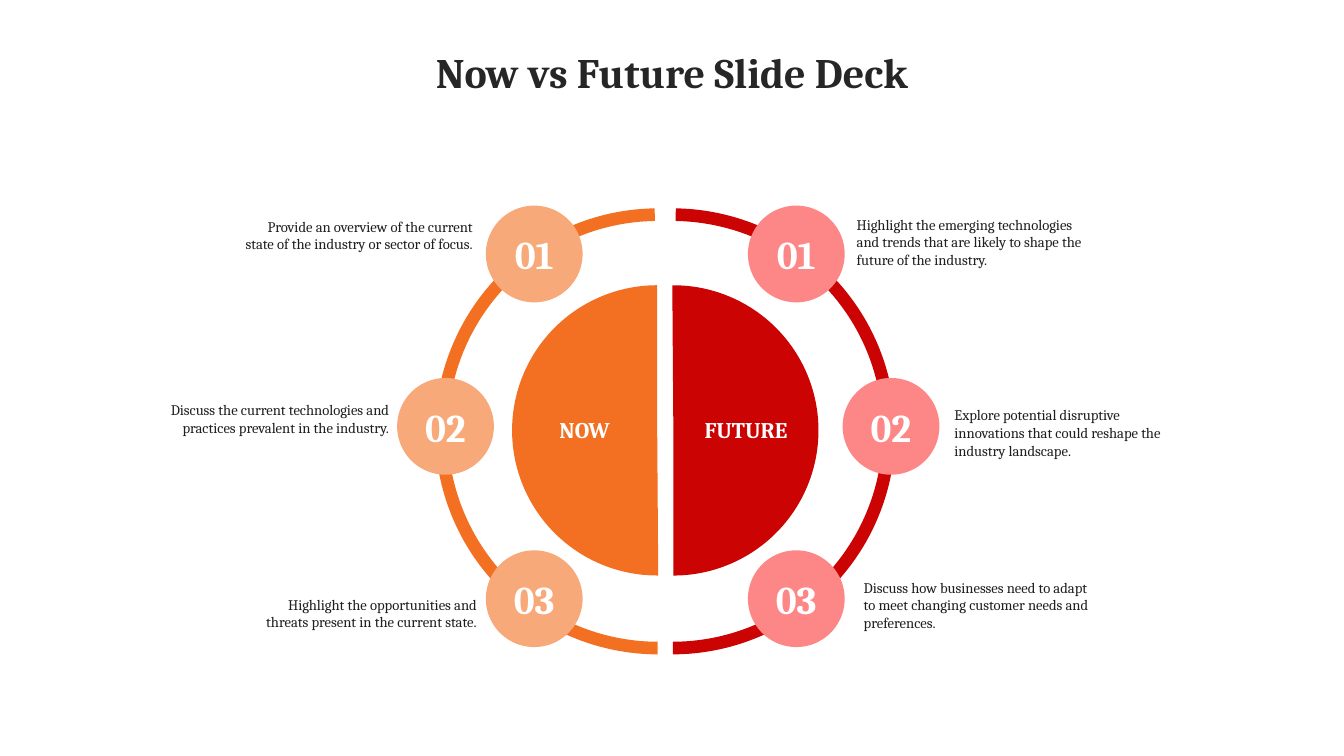
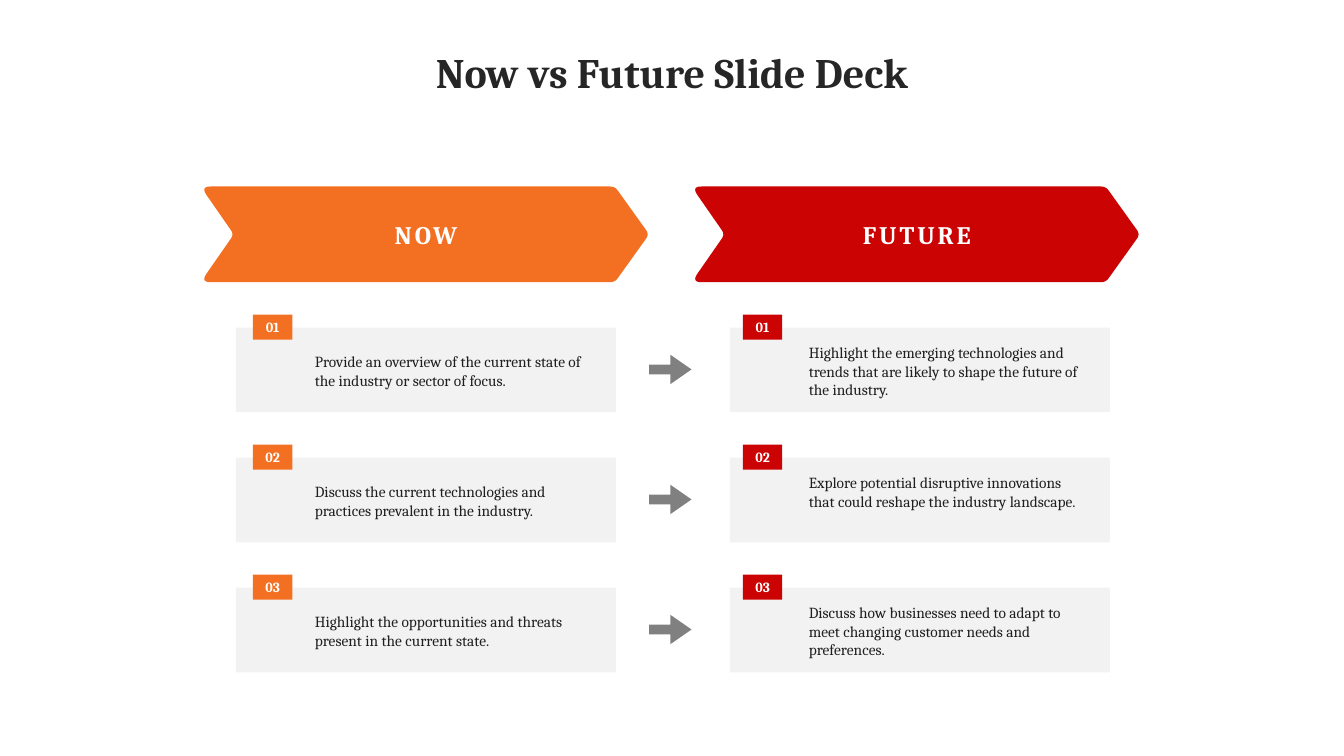
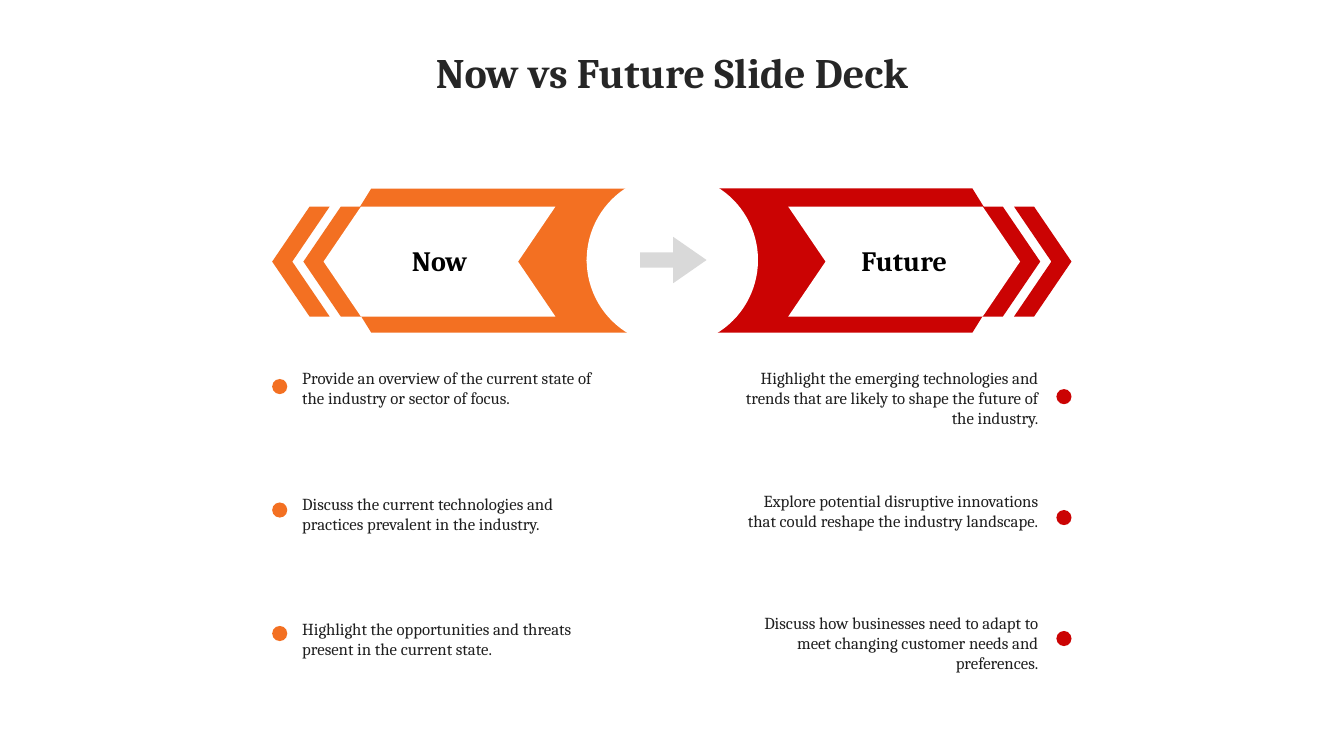
from dataclasses import dataclass

from pptx import Presentation
from pptx.dml.color import RGBColor
from pptx.enum.shapes import MSO_SHAPE as Preset
from pptx.enum.text import MSO_ANCHOR as Anchor, PP_ALIGN as Align
from pptx.util import Inches, Pt

# Lengths are counted in the cells of a square grid laid over the slide.
CELL = Inches(0.1)
COLUMNS, ROWS = 133.33, 75

FONT = "Cambria"
TITLE = "Now vs Future Slide Deck"
TITLE_INK, INK, BLACK, WHITE = "262626", "1F1F1F", "000000", "FFFFFF"
CARD_GREY, ARROW_GREY, PALE_GREY = "F2F2F2", "808080", "D9D9D9"


@dataclass
class Box:
    left: float
    top: float
    width: float
    height: float

    def inner(self, x, y, width, height, mirror=False):
        """A box inside this one; when mirrored, x counts from the right edge."""
        if mirror:
            x = self.width - x - width
        return Box(self.left + x, self.top + y, width, height)

    def emu(self):
        return [cells(n) for n in (self.left, self.top, self.width, self.height)]


@dataclass
class Side:
    name: str
    color: str
    tint: str
    notes: list
    mirror: bool


NOW = Side("Now", "F37022", "F8A97A", [
    "Provide an overview of the current state of the industry or sector of focus.",
    "Discuss the current technologies and practices prevalent in the industry.",
    "Highlight the opportunities and threats present in the current state.",
], False)
FUTURE = Side("Future", "CB0303", "FD8787", [
    "Highlight the emerging technologies and trends that are likely to shape "
    "the future of the industry.",
    "Explore potential disruptive innovations that could reshape the industry landscape.",
    "Discuss how businesses need to adapt to meet changing customer needs and preferences.",
], True)


# Shared helpers

def cells(count):
    return round(count * CELL)


def rgb(color):
    return RGBColor.from_string(color)


def write(shape, text, size, color, bold=False, align=Align.CENTER, spacing=0):
    para = shape.text_frame.paragraphs[0]
    para.text = text
    para.alignment = align
    font = para.font
    font.name, font.size, font.bold = FONT, Pt(size), bold
    font.color.rgb = rgb(color)
    if spacing:
        font._element.set("spc", str(round(spacing * 100)))


def add_text(page, box, text, size, color, bold=False, align=Align.LEFT,
             anchor=Anchor.TOP):
    shape = page.shapes.add_textbox(*box.emu())
    shape.text_frame.word_wrap = True
    shape.text_frame.vertical_anchor = anchor
    write(shape, text, size, color, bold, align)


def paint(shape, fill):
    shape.shadow.inherit = False
    shape.fill.solid()
    shape.fill.fore_color.rgb = rgb(fill)
    shape.line.fill.background()
    return shape


def add_preset(page, preset, box, fill, adjust=(), rotation=0):
    shape = page.shapes.add_shape(preset, *box.emu())
    for index, value in enumerate(adjust):
        shape.adjustments[index] = value
    shape.rotation = rotation
    return paint(shape, fill)


def add_badge(page, preset, box, fill, number, size):
    badge = add_preset(page, preset, box, fill)
    frame = badge.text_frame
    frame.margin_left = frame.margin_right = 0
    frame.vertical_anchor = Anchor.MIDDLE
    write(badge, f"{number:02d}", size, WHITE, bold=True)


def add_arrow(page, box, fill):
    add_preset(page, Preset.RIGHT_ARROW, box, fill, (0.33, 0.72))


def angles(start, end):
    """Degrees as the adjustment values of arcs and pies."""
    return start * 0.6, end * 0.6


def rounded(corners, steps=6):
    """Outline of a polygon whose (x, y, cut) corners become curves."""
    points = []
    for index, (x, y, cut) in enumerate(corners):
        ends = []
        for nx, ny, _ in (corners[index - 1], corners[(index + 1) % len(corners)]):
            share = cut / ((nx - x) ** 2 + (ny - y) ** 2) ** 0.5
            ends.append((x + (nx - x) * share, y + (ny - y) * share))
        (ax, ay), (bx, by) = ends
        for step in range(steps + 1):
            t = step / steps
            a, c, b = (1 - t) ** 2, 2 * t * (1 - t), t ** 2
            points.append((a * ax + c * x + b * bx, a * ay + c * y + b * by))
    return points


def new_page(deck):
    page = deck.slides.add_slide(deck.slide_layouts.get_by_name("Title Only"))
    write(page.shapes.title, TITLE, 30, TITLE_INK, bold=True)
    return page


# Slide 1: a wheel in two halves

def wheel_half(page, box, side, badge_lefts, note_spots):
    mirror = side.mirror
    # Outer ring
    ring = page.shapes.add_shape(Preset.ARC, *box.inner(0, 0, 43, 43, mirror).emu())
    span = angles(270.9, 89.86) if mirror else angles(90.14, 269.1)
    ring.adjustments[0], ring.adjustments[1] = span
    ring.shadow.inherit = False
    ring.fill.background()
    ring.line.color.rgb = rgb(side.color)
    ring.line.width = Pt(9)
    # Numbered badges and their notes
    for index, note in enumerate(side.notes):
        spot = box.inner(badge_lefts[index], -0.9 + 17.1 * index, 9.6, 9.6, mirror)
        add_badge(page, Preset.OVAL, spot, side.tint, index + 1, 28)
        x, y = note_spots[index]
        add_text(page, box.inner(x, y, 24.8, 6.3, mirror), note, 10.5, INK,
                 align=Align.LEFT if mirror else Align.RIGHT)
    # Half disc with its label
    span = angles(269.6, 90) if mirror else angles(89.6, 270)
    add_preset(page, Preset.PIE, box.inner(7, 7, 28.8, 28.8, mirror), side.color, span)
    add_text(page, box.inner(7.1, 19.9, 14.2, 2.9, mirror), side.name.upper(), 16, WHITE,
             bold=True, align=Align.CENTER, anchor=Anchor.MIDDLE)


def wheel_slide(deck):
    page = new_page(deck)
    wheel = Box(43.8, 21.3, 44.4, 43)
    wheel_half(page, wheel, NOW, (4.4, -4.4, 4.4),
               ((-20.7, -0.2), (-29, 18), (-20.3, 37.3)))
    wheel_half(page, wheel, FUTURE, (4.4, -5, 4.4),
               ((-20.6, -0.4), (-30.3, 18.5), (-21.3, 35.6)))


# Slide 2: two columns of cards under banners

def banner(page, box, side):
    w, h = box.width, box.height
    corners = [(-0.5, 0, 1), (w - 3.3, 0, 0.5), (w + 0.1, h / 2, 0.5),
               (w - 3.3, h, 0.5), (-0.5, h, 1), (2.8, h / 2, 0.5)]
    points = [(cells(box.left + x), cells(box.top + y)) for x, y in rounded(corners)]
    builder = page.shapes.build_freeform(*points[0])
    builder.add_line_segments(points[1:], close=True)
    shape = paint(builder.convert_to_shape(), side.color)
    shape.text_frame.vertical_anchor = Anchor.MIDDLE
    write(shape, side.name.upper(), 18, WHITE, bold=True, spacing=2.1)


def card(page, box, side, number, tag_left, note_height):
    add_preset(page, Preset.RECTANGLE, box, CARD_GREY)
    add_badge(page, Preset.RECTANGLE, box.inner(tag_left, -1.3, 3.9, 2.5),
              side.color, number, 10)
    note = box.inner(6.85, (box.height - note_height) / 2, 29.2, note_height)
    add_text(page, note, side.notes[number - 1], 11, INK)


def cards_slide(deck):
    page = new_page(deck)
    banner(page, Box(20.4, 18.5, 43.9, 9.5), NOW)
    banner(page, Box(69.1, 18.5, 43.9, 9.5), FUTURE)
    for row in range(3):
        line = Box(23.4, 32.5 + 12.9 * row, 86.7, 8.4)
        card(page, line.inner(0, 0, 37.7, 8.4), NOW, row + 1, 1.7, 4.5)
        add_arrow(page, line.inner(41, 2.7, 4.2, 2.9), ARROW_GREY)
        card(page, line.inner(49, 0, 37.7, 8.4), FUTURE, row + 1, 1.3, 6.3)


# Slide 3: two facing ribbons over bullet lists

def ribbon(page, box, side):
    for x, y, width, height, bend, fill in (
            (5.4, 0, 30.2, 14.3, 0.31, side.color),
            (3.1, 1.8, 23, 10.9, 0.34, side.color),
            (5.1, 1.8, 23, 10.9, 0.34, WHITE),
            (0, 1.8, 5.7, 10.9, 0.65, side.color)):
        add_preset(page, Preset.CHEVRON, box.inner(x, y, width, height, side.mirror),
                   fill, (bend,), 0 if side.mirror else 180)
    add_text(page, box.inner(8.2, 5, 16.8, 4.4, side.mirror), side.name, 20, BLACK,
             bold=True, align=Align.CENTER)


def dotted_list(page, box, side, indent, row_height, dot_top, dot_step):
    for row, note in enumerate(side.notes):
        dot = box.inner(0, dot_top + dot_step * row, 1.5, 1.5, side.mirror)
        add_preset(page, Preset.OVAL, dot, side.color)
        add_text(page, box.inner(indent, row_height * row, 32.2, 7.1, side.mirror),
                 note, 12, INK, align=Align.RIGHT if side.mirror else Align.LEFT)


def ribbon_slide(deck):
    page = new_page(deck)
    ribbons = Box(27, 18.7, 79.3, 14.3)
    for side in (NOW, FUTURE):
        ribbon(page, ribbons, side)
    # Round gap with the arrow between the ribbons
    add_preset(page, Preset.OVAL, ribbons.inner(31.2, -1.4, 17, 17), WHITE)
    add_arrow(page, ribbons.inner(36.5, 4.8, 6.6, 4.6), PALE_GREY)
    lists = Box(27, 36, 79.3, 31)
    dotted_list(page, lists, NOW, 2, 12.45, 1.6, 12.25)
    dotted_list(page, lists, FUTURE, 2.3, 12.15, 2.6, 12)


def main():
    deck = Presentation()
    deck.slide_width, deck.slide_height = cells(COLUMNS), cells(ROWS)
    # The title's place is set once, on the layout
    title = deck.slide_layouts.get_by_name("Title Only").placeholders[0]
    title.left, title.top, title.width, title.height = Box(0, 4.1, COLUMNS, 6.1).emu()
    for build in (wheel_slide, cards_slide, ribbon_slide):
        build(deck)
    deck.save("out.pptx")


if __name__ == "__main__":
    main()
